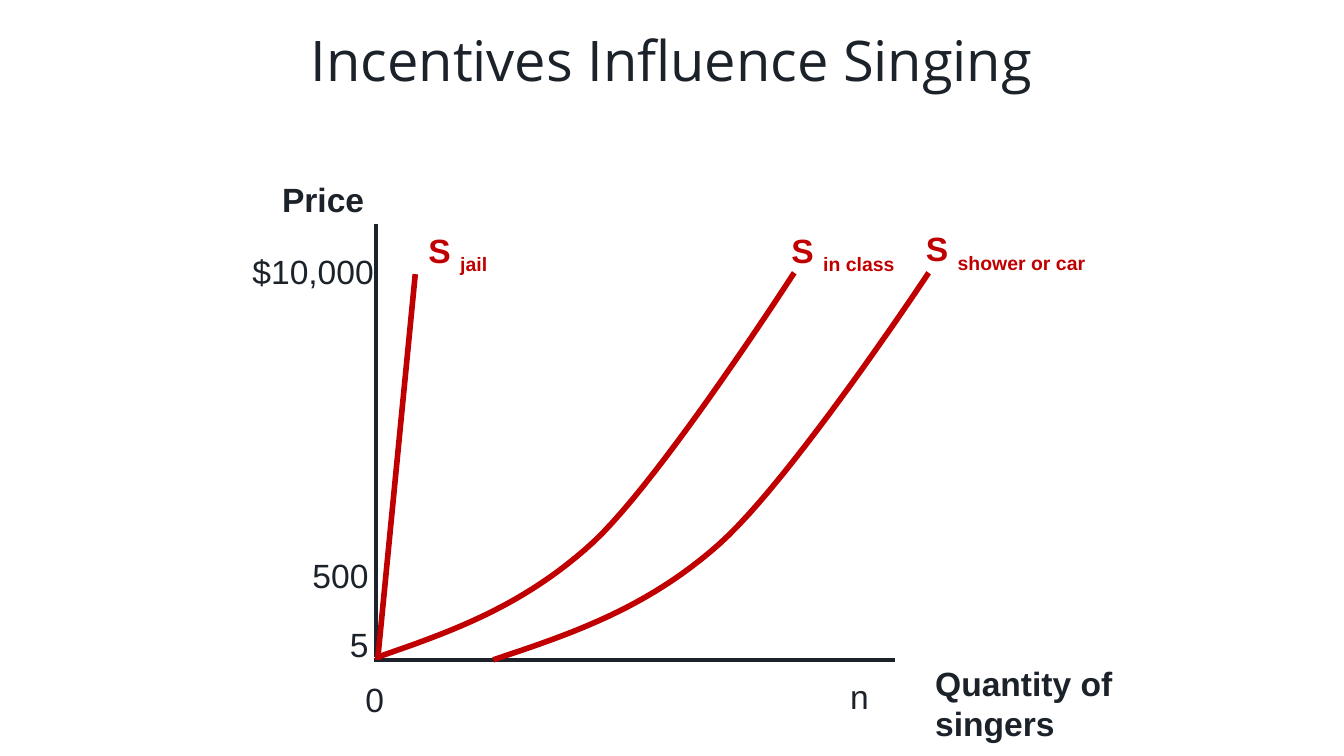
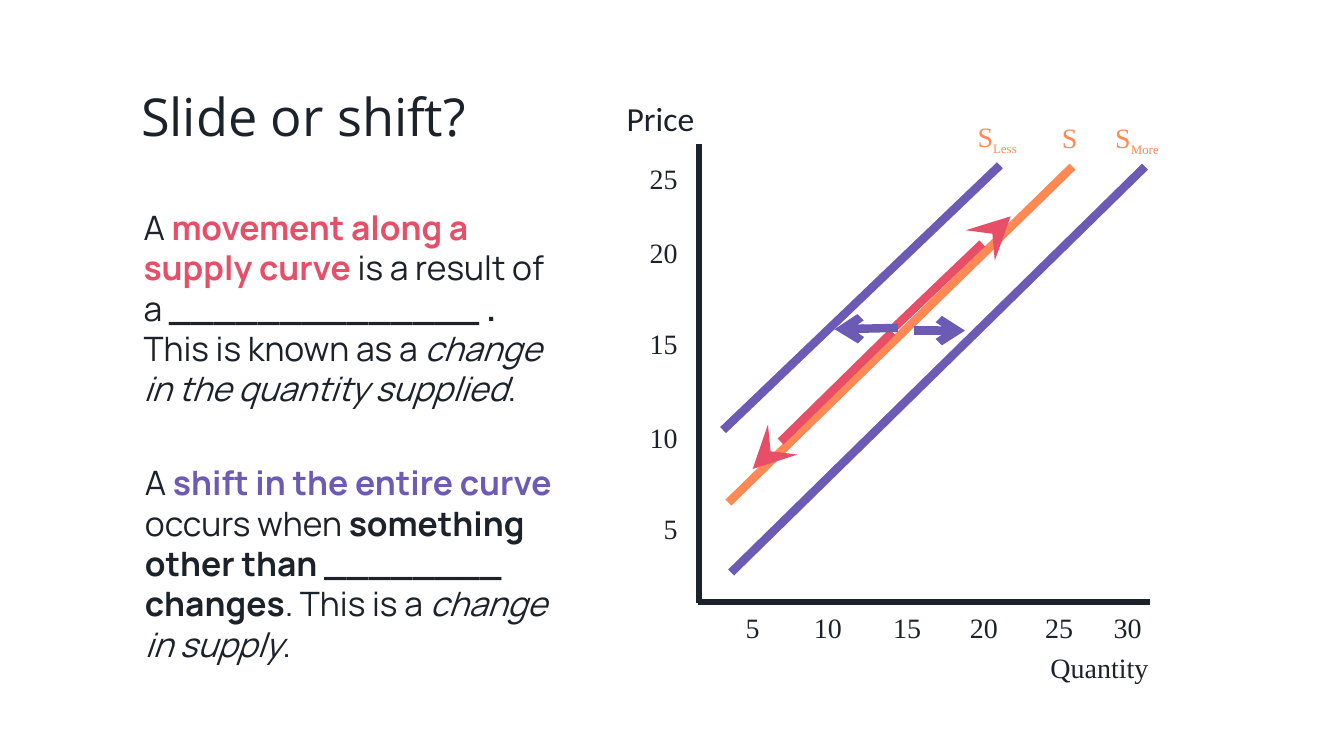
"""Builds two slides on supply: how incentives move singers, and slide versus shift."""
from lxml import etree
from pptx import Presentation
from pptx.dml.color import RGBColor
from pptx.enum.shapes import MSO_CONNECTOR
from pptx.enum.text import MSO_ANCHOR, PP_ALIGN
from pptx.oxml.ns import qn
from pptx.util import Pt

PX = 9144
COLORS = {
    "ink": "1C2229",
    "supply": "C00000",
    "shift": "6B5BB4",
    "movement": "E64F67",
    "base": "FE8954",
}
LEFT, CENTER, RIGHT = PP_ALIGN.LEFT, PP_ALIGN.CENTER, PP_ALIGN.RIGHT


def write(slide, box, runs, font, size, align=LEFT, spacing=None, middle=False, sub_size=None):
    frame = slide.shapes.add_textbox(*[n * PX for n in box]).text_frame
    frame.word_wrap = True
    if middle:
        frame.vertical_anchor = MSO_ANCHOR.MIDDLE
    paragraph = frame.paragraphs[0]
    paragraph.alignment = align
    if spacing:
        paragraph.line_spacing = spacing
    for text, color, style in runs:
        run = paragraph.add_run()
        run.text = text
        run.font.name = font
        run.font.size = Pt(size)
        run.font.bold = "b" in style
        run.font.italic = "i" in style
        run.font.color.rgb = RGBColor.from_string(COLORS[color])
        if "_" in style:
            run.font.size = Pt(sub_size or size)
            run._r.get_or_add_rPr().set("baseline", "-25000")
    return frame


def draw(slide, start, end, color, width, head=None, head_size="med"):
    ends = [n * PX for n in (*start, *end)]
    connector = slide.shapes.add_connector(MSO_CONNECTOR.STRAIGHT, *ends)
    connector.line.color.rgb = RGBColor.from_string(COLORS[color])
    connector.line.width = Pt(width)
    if head:
        tail = etree.SubElement(connector.line._get_or_add_ln(), qn("a:tailEnd"))
        for key, value in (("type", head), ("w", head_size), ("len", head_size)):
            tail.set(key, value)
    etree.SubElement(connector._element.spPr, qn("a:effectLst"))


deck = Presentation()
deck.slide_width, deck.slide_height = 1000 * PX, 5625 * PX // 10
blank = deck.slide_layouts[6]

singing = deck.slides.add_slide(blank)
write(singing, (125, 0, 750, 94), [("Incentives Influence Singing", "ink", "")],
      "Open Sans", 30, CENTER, 0.9, middle=True)
draw(singing, (280, 167), (280, 489), "ink", 2)
draw(singing, (278, 491), (666, 491), "ink", 2)

for text, box, style, align in [
    ("Price", (200, 128, 92, 40), "b", LEFT),
    ("Quantity of singers", (686, 488, 189, 71), "b", LEFT),
    ("$10,000", (132, 182, 156, 40), "", RIGHT),
    ("500", (158, 408, 126, 40), "", RIGHT),
    ("5", (157, 459, 127, 40), "", RIGHT),
    ("0", (262, 500, 62, 40), "", LEFT),
    ("n", (602, 498, 75, 40), "", CENTER),
]:
    write(singing, box, [(text, "ink", style)], "Arial", 18, align)

for place, box in [
    ("jail", (309, 166, 130, 40)),
    ("in class", (579, 166, 172, 40)),
    ("shower or car", (679, 165, 172, 40)),
]:
    write(singing, box, [("S ", "supply", "b"), (place, "supply", "b_")], "Arial", 18)

draw(singing, (309, 204), (281, 491), "supply", 3)
STEPS = 24
for beziers in [
    [((281, 489), (336, 470), (390, 451), (442, 403)),
     ((442, 403), (493, 355), (591, 203), (591, 203))],
    [((367, 491), (424, 472), (481, 453), (535, 405)),
     ((535, 405), (589, 357), (691, 203), (691, 203))],
]:
    points = []
    for bezier in beziers:
        for step in range(1, STEPS + 1):
            t = step / STEPS
            weights = ((1 - t) ** 3, 3 * t * (1 - t) ** 2, 3 * t * t * (1 - t), t ** 3)
            points.append(tuple(
                round(PX * sum(w * p[axis] for w, p in zip(weights, bezier))) for axis in (0, 1)))
    start_x, start_y = beziers[0][0]
    outline = singing.shapes.build_freeform(start_x * PX, start_y * PX)
    outline.add_line_segments(points, close=False)
    supply_curve = outline.convert_to_shape()
    supply_curve.shadow.inherit = False
    supply_curve.fill.background()
    supply_curve.line.color.rgb = RGBColor.from_string(COLORS["supply"])
    supply_curve.line.width = Pt(3)

shifting = deck.slides.add_slide(blank)
heading = write(shifting, (97, 61, 750, 56), [("Slide or shift?", "ink", "")],
                "Open Sans", 28, LEFT, 0.9, middle=True)
heading.margin_left = heading.margin_right = 8 * PX
heading.margin_top = heading.margin_bottom = 4 * PX

write(shifting, (97, 149, 327, 162), [
    ("A ", "ink", ""),
    ("movement along a supply curve ", "movement", "b"),
    ("is a result of a ", "ink", ""),
    ("______________ . ", "ink", "b"),
    ("This is known as a ", "ink", ""),
    ("change in the quantity supplied", "ink", "i"),
    (".", "ink", ""),
], "Manrope", 18)
write(shifting, (98, 339, 331, 162), [
    ("A ", "ink", ""),
    ("shift in the entire curve ", "shift", "b"),
    ("occurs when ", "ink", ""),
    ("something other than ________ changes", "ink", "b"),
    (". This is a ", "ink", ""),
    ("change in supply", "ink", "i"),
    (".", "ink", ""),
], "Manrope", 18)

SERIF = "Times New Roman"
write(shifting, (428, 74, 127, 35), [("Price", "ink", "")], "Calibri", 18, CENTER, 0.8)
write(shifting, (762, 484, 112, 50), [("Quantity", "ink", "")], SERIF, 15, CENTER, 0.8)
for price, top in [(25, 115), (20, 170), (15, 238), (10, 308), (5, 376)]:
    write(shifting, (458, top, 56, 35), [(str(price), "ink", "")], SERIF, 15, RIGHT)
for quantity, left in [(5, 532), (10, 588), (15, 647), (20, 704), (25, 760), (30, 811)]:
    write(shifting, (left, 449, 56, 35), [(str(quantity), "ink", "")], SERIF, 15, CENTER)
for amount, left, top, width in [("Less", 706, 84, 72), ("", 768, 85, 56), ("More", 810, 85, 72)]:
    label = [("S", "base", "")]
    if amount:
        label.append((amount, "base", "_"))
    write(shifting, (left, top, width, 35), label, SERIF, 15, CENTER, sub_size=12)

draw(shifting, (520, 107), (520, 449), "ink", 3)
draw(shifting, (519, 448), (856, 448), "ink", 3)
for start, end, color in [
    ((852, 124), (544, 426), "shift"),
    ((798, 124), (542, 374), "base"),
    ((744, 123), (538, 320), "shift"),
]:
    draw(shifting, start, end, color, 4.5)
for start, end, color, head, head_size in [
    ((680, 246), (718, 246), "shift", "arrow", "med"),
    ((664, 245), (752, 161), "movement", "stealth", "lg"),
    ((664, 247), (560, 349), "movement", "stealth", "lg"),
    ((668, 244), (621, 245), "shift", "arrow", "med"),
]:
    draw(shifting, start, end, color, 4.5, head, head_size)

deck.save("out.pptx")
